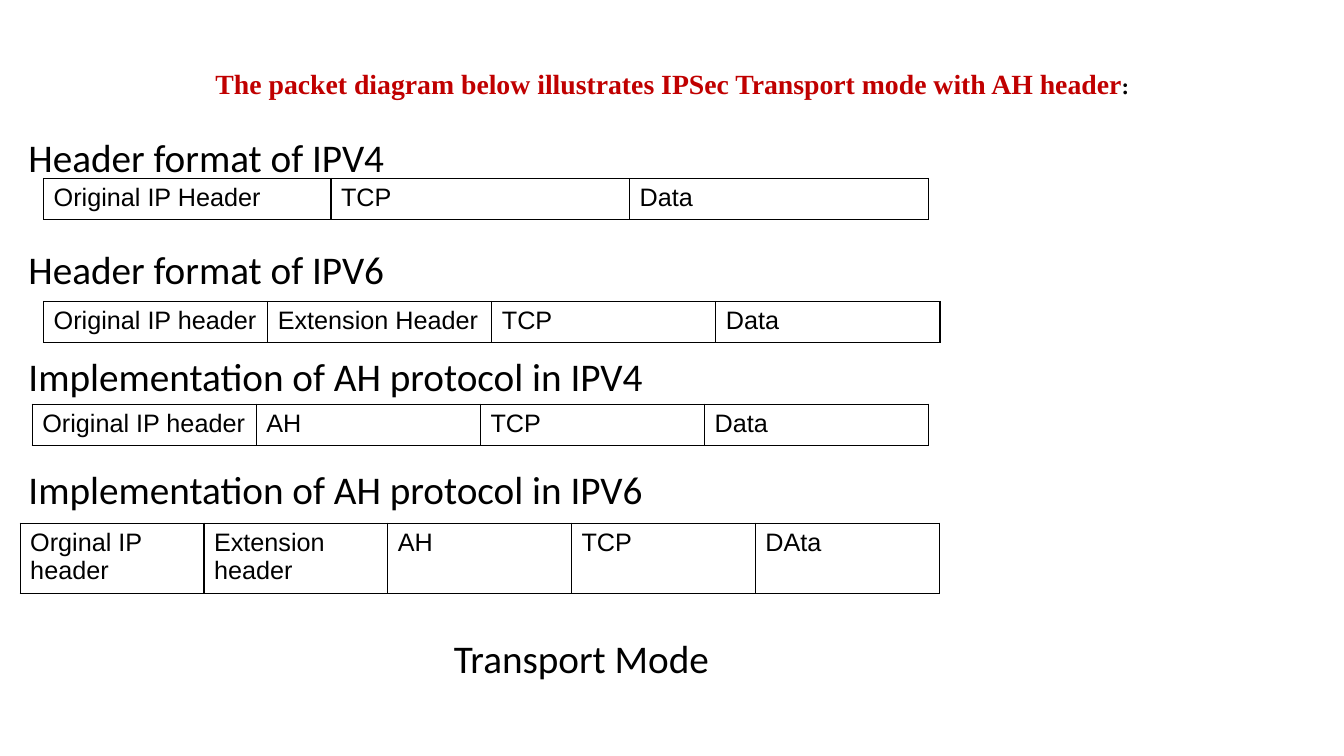
import pptx
import pptx.util
import pptx.dml.color
import pptx.enum.text
import pptx.oxml
import pptx.oxml.ns

BLACK = pptx.dml.color.RGBColor(0x00, 0x00, 0x00)
RED = pptx.dml.color.RGBColor(0xC0, 0x00, 0x00)

presentation = pptx.Presentation()
presentation.slide_width = pptx.util.Inches(13.33)
presentation.slide_height = pptx.util.Inches(7.5)
column = presentation.slide_width / 40
row = presentation.slide_height / 30
slide = presentation.slides.add_slide(presentation.slide_layouts[5])


def place(left, top, width, height):
    return int(left * column), int(top * row), int(width * column), int(height * row)


def add_run(paragraph, text, size, font_name, color, bold=False):
    run = paragraph.add_run()
    run.text = text
    run.font.size = pptx.util.Pt(size)
    run.font.name = font_name
    run.font.color.rgb = color
    run.font.bold = bold


title = slide.shapes.title
title.left, title.top, title.width, title.height = place(2.94, 2.08, 34.14, 2.64)
title.text_frame.auto_size = pptx.enum.text.MSO_AUTO_SIZE.NONE
title.text_frame.vertical_anchor = pptx.enum.text.MSO_ANCHOR.MIDDLE
paragraph = title.text_frame.paragraphs[0]
paragraph.alignment = pptx.enum.text.PP_ALIGN.CENTER
paragraph.line_spacing = 0.9
add_run(paragraph, "The packet diagram below illustrates IPSec Transport mode with AH header",
        19.8, "Times New Roman", RED, True)
add_run(paragraph, ":", 16.2, "Times New Roman", BLACK, True)

headings = [
    ("Header format of IPV4", 0),
    ("Header format of IPV6", 49.5),
    ("Implementation of AH protocol in IPV4", 46.2),
    ("Implementation of AH protocol in IPV6", 50.7),
    ("Transport Mode", 90),
]
body = slide.shapes.add_textbox(*place(0.55, 5.32, 36.78, 24.16))
body.text_frame.word_wrap = True
for index, (text, space_before) in enumerate(headings):
    paragraph = body.text_frame.paragraphs[0] if index == 0 else body.text_frame.add_paragraph()
    paragraph.line_spacing = 0.9
    paragraph.space_before = pptx.util.Pt(space_before)
    add_run(paragraph, text, 28, "Calibri", BLACK)
paragraph._p.get_or_add_pPr().set("marL", str(int(12.66 * column)))

packets = [
    (1.3, 7.08, 1.64, [8.55, 8.89, 8.89], ["Original IP Header", "TCP", "Data"]),
    (1.3, 11.96, 1.64, [6.67] * 4, ["Original IP header", "Extension Header", "TCP", "Data"]),
    (0.96, 16.04, 1.64, [6.67] * 4, ["Original IP header", "AH", "TCP", "Data"]),
    (0.6, 20.76, 2.12, [5.47] * 5, ["Orginal IP header", "Extension header", "AH", "TCP", "DAta"]),
]
for left, top, height, widths, fields in packets:
    frame = slide.shapes.add_table(1, len(fields), *place(left, top, sum(widths), height))
    table = frame.table
    table.first_row = False
    table.horz_banding = False
    for index, (width, field) in enumerate(zip(widths, fields)):
        table.columns[index].width = int(width * column)
        cell = table.cell(0, index)
        properties = cell._tc.get_or_add_tcPr()
        for side in ("lnL", "lnR", "lnT", "lnB"):
            properties.append(pptx.oxml.parse_xml(
                f'<a:{side} {pptx.oxml.ns.nsdecls("a")} w="12700"><a:solidFill>'
                f'<a:srgbClr val="{BLACK}"/></a:solidFill></a:{side}>'))
        cell.fill.background()
        add_run(cell.text_frame.paragraphs[0], field, 18, "Arial", BLACK)
    frame.width = frame.height = pptx.util.Inches(3.28)

presentation.save("out.pptx")
